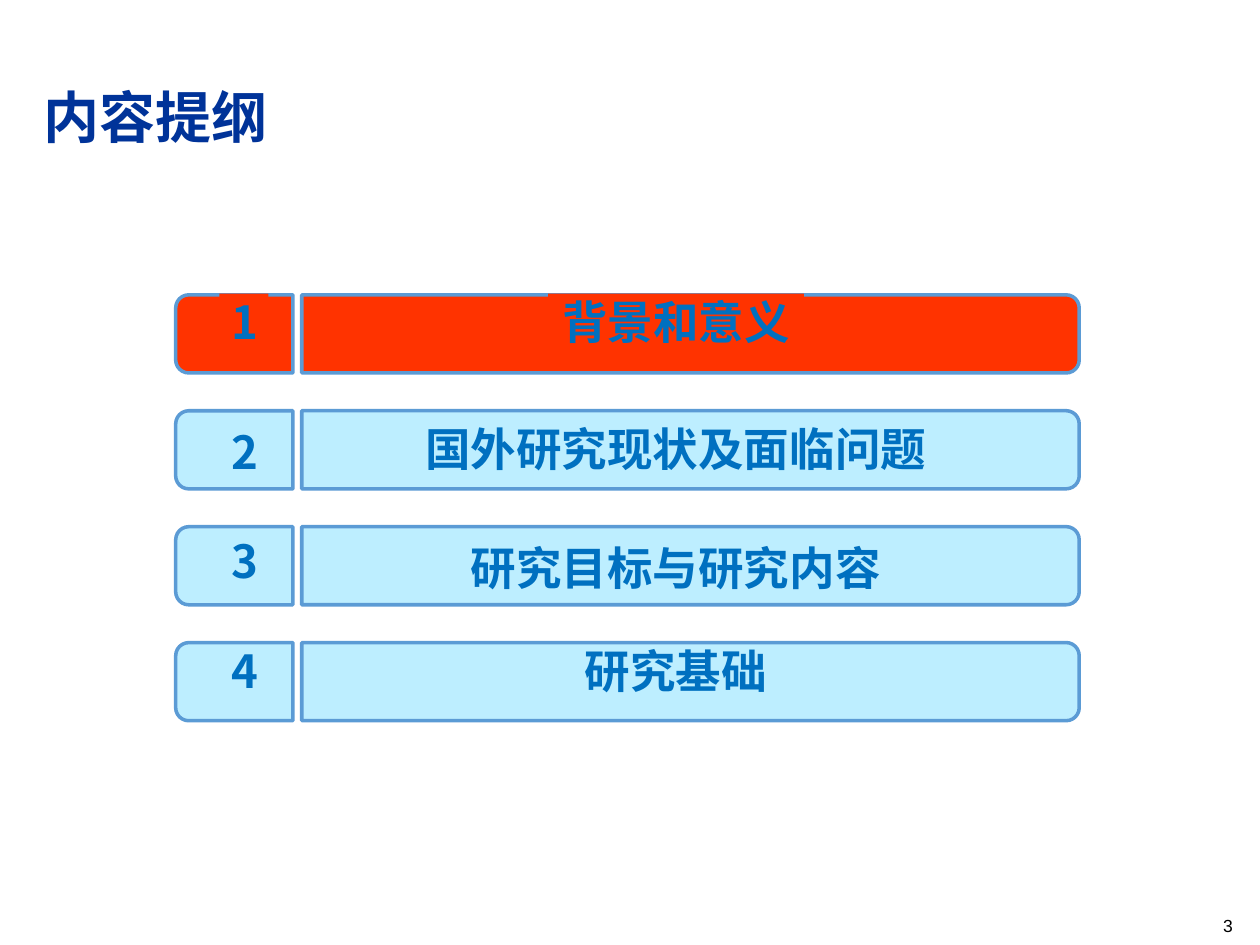
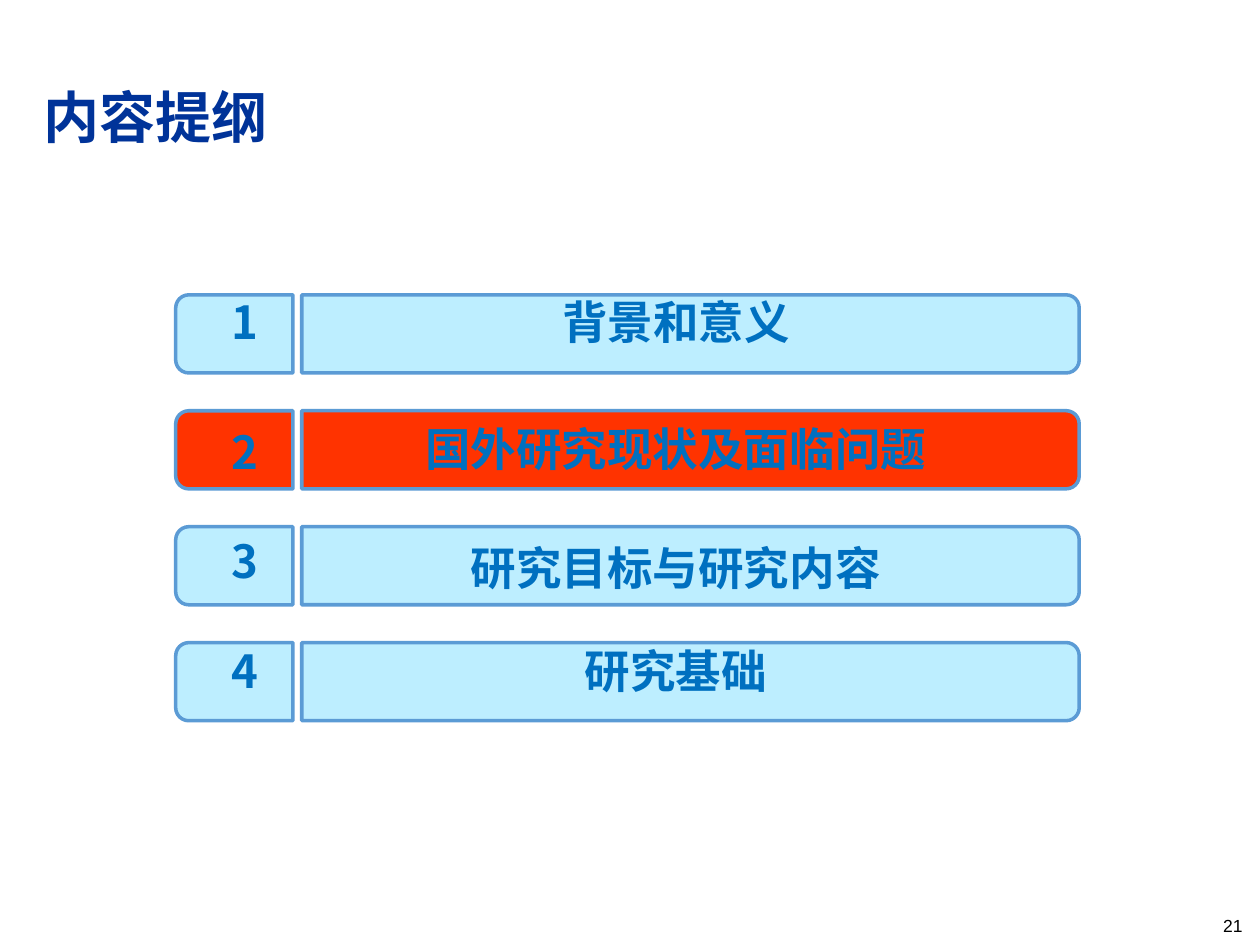
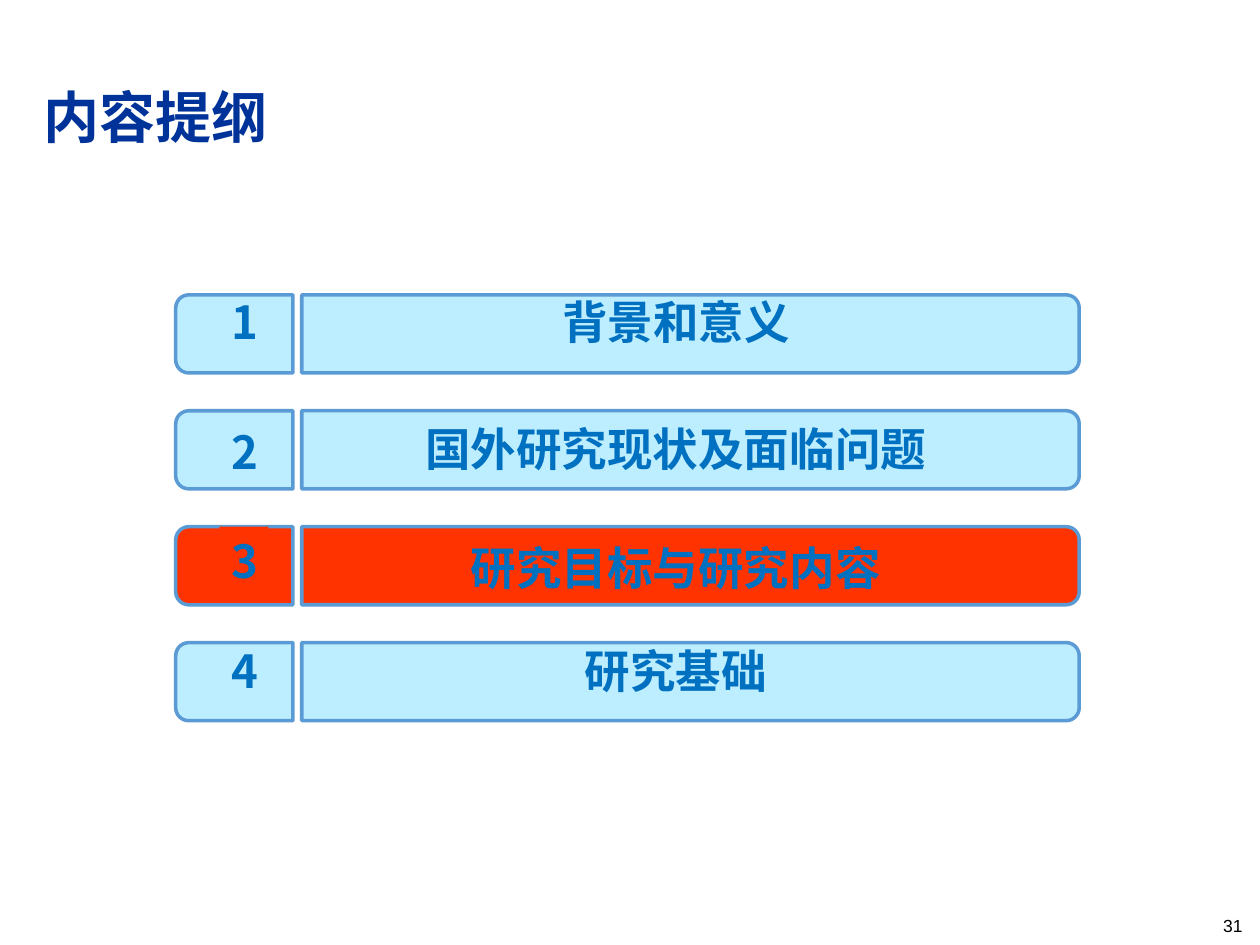
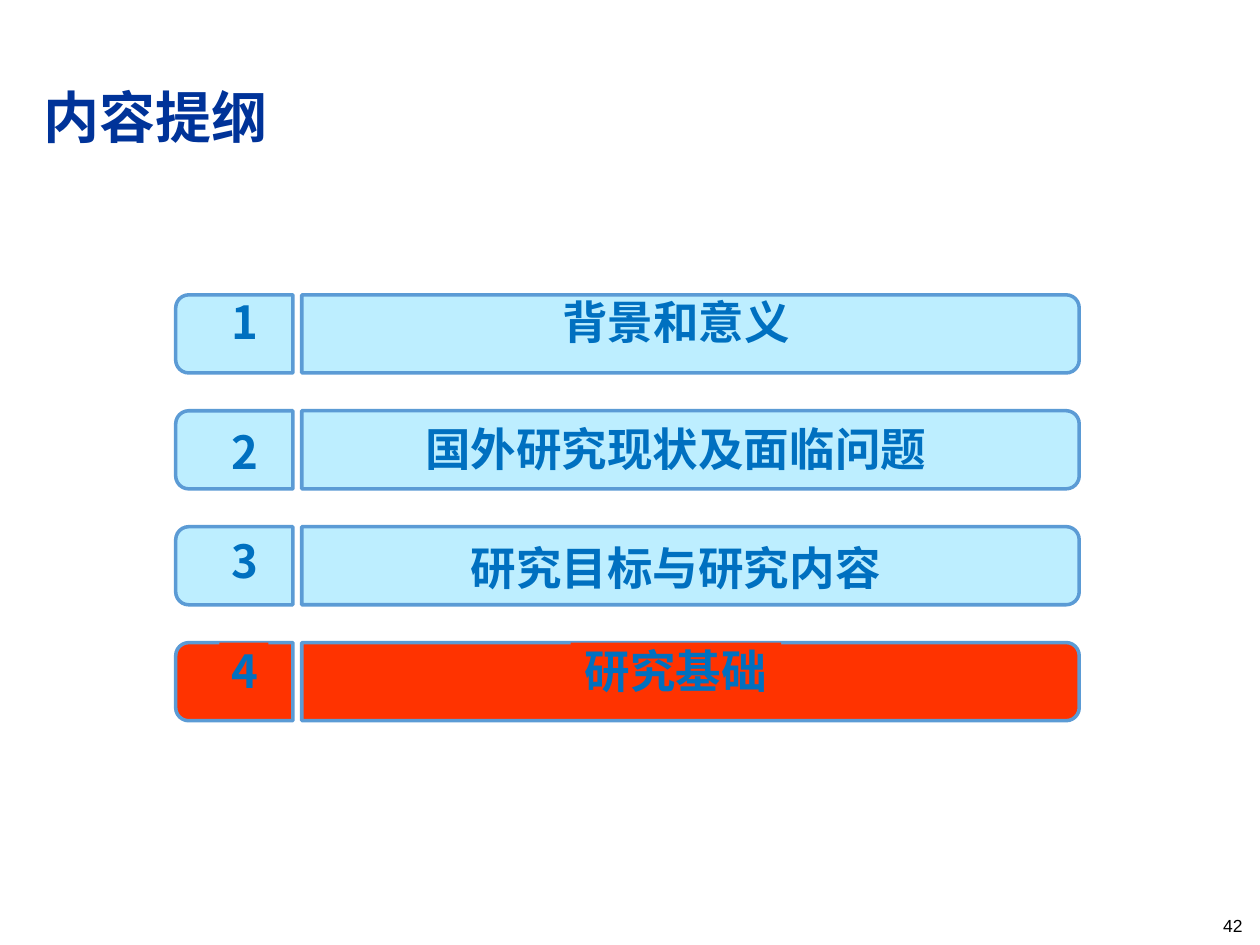
from dataclasses import dataclass

from lxml import etree
from pptx import Presentation
from pptx.dml.color import RGBColor
from pptx.enum.shapes import MSO_SHAPE
from pptx.enum.text import MSO_ANCHOR, MSO_AUTO_SIZE, PP_ALIGN
from pptx.oxml.ns import qn
from pptx.shapes.autoshape import Shape
from pptx.shapes.shapetree import GroupShapes, SlideShapes
from pptx.slide import Slide
from pptx.util import Inches, Pt

ROUNDED_END = MSO_SHAPE.ROUND_2_SAME_RECTANGLE
TOP, MIDDLE = MSO_ANCHOR.TOP, MSO_ANCHOR.MIDDLE
LEFT, CENTER = PP_ALIGN.LEFT, PP_ALIGN.CENTER
GROW, FIXED = MSO_AUTO_SIZE.SHAPE_TO_FIT_TEXT, MSO_AUTO_SIZE.NONE

SLIDE_WIDTH, SLIDE_HEIGHT = Inches(10), Inches(7.5)
COLUMN, ROW = SLIDE_WIDTH / 100, SLIDE_HEIGHT / 75

HEADING_FONT, NUMBER_FONT = "Noto Sans CJK SC", "Arial"
TITLE_COLOR, TEXT_COLOR, PAGE_COLOR = "003399", "0070C0", "000000"
ACTIVE_COLOR, IDLE_COLOR, OUTLINE_COLOR = "FF3300", "BDEEFF", "5B9BD5"

FIRST_BAND_TOP, BAND_PITCH, BAND_HEIGHT = 23.4, 9.2, 6.2
NUMBER_CENTER, LABEL_CENTER = 19.35, 53.65
NUMBER_WIDTH, TEXT_HEIGHT = 3.9, 5.4


@dataclass(frozen=True)
class Frame:
    left: float
    top: float
    width: float
    height: float

    def lengths(self) -> tuple[int, int, int, int]:
        return (round(self.left * COLUMN), round(self.top * ROW),
                round(self.width * COLUMN), round(self.height * ROW))

    def upright(self) -> "Frame":
        shift = (self.width - self.height) / 2
        return Frame(self.left + shift, self.top - shift, self.height, self.width)


@dataclass(frozen=True)
class TextStyle:
    size: float
    color: str
    font: str = HEADING_FONT
    bold: bool = True
    align: PP_ALIGN = LEFT


@dataclass(frozen=True)
class Section:
    name: str
    label_width: float
    label_offset: float
    number_offset: float
    fixed: bool = False


TITLE_STYLE = TextStyle(32, TITLE_COLOR)
BAND_STYLE = TextStyle(26, TEXT_COLOR, align=CENTER)
PAGE_STYLE = TextStyle(10, PAGE_COLOR, NUMBER_FONT, bold=False)

TITLE_FRAME = Frame(2.5, 3, 90, 12.5)
PAGE_FRAME = Frame(96.1, 72.1, 3.9, 4.3)

SECTIONS = (
    Section("背景和意义", 20.3, -0.1, -0.1),
    Section("国外研究现状及面临问题", 42.5, 0.3, 0.5, fixed=True),
    Section("研究目标与研究内容", 35, 0.5, 0, fixed=True),
    Section("研究基础", 16.7, 0, 0),
)
PAGE_NUMBERS = (3, 21, 31, 42)


def color(value: str) -> RGBColor:
    return RGBColor.from_string(value)


def add_text(shapes: SlideShapes | GroupShapes, frame: Frame, text: str,
             style: TextStyle, anchor: MSO_ANCHOR = TOP) -> Shape:
    shape = shapes.add_textbox(*frame.lengths())
    text_frame = shape.text_frame
    text_frame.word_wrap = True
    text_frame.vertical_anchor = anchor
    text_frame.text = text
    paragraph = text_frame.paragraphs[0]
    paragraph.alignment = style.align
    run = paragraph.runs[0]
    run.font.size = Pt(style.size)
    run.font.bold = style.bold
    run.font.color.rgb = color(style.color)
    run.font.name = style.font
    properties = run.font._element
    etree.SubElement(properties, qn("a:ea")).set("typeface", style.font)
    return shape


def add_band(shapes: GroupShapes, frame: Frame, fill: str, rounded_right: bool) -> None:
    shape = shapes.add_shape(ROUNDED_END, *frame.upright().lengths())
    shape.rotation = 270
    if rounded_right:
        shape._element.spPr.xfrm.set("flipV", "1")
    shape.shadow.inherit = False
    shape.fill.solid()
    shape.fill.fore_color.rgb = color(fill)
    shape.line.color.rgb = color(OUTLINE_COLOR)
    shape.line.width = Pt(2)


def add_section(slide: Slide, index: int, section: Section, active: bool) -> None:
    shapes = slide.shapes.add_group_shape().shapes
    top = FIRST_BAND_TOP + index * BAND_PITCH
    fill = ACTIVE_COLOR if active else IDLE_COLOR
    add_band(shapes, Frame(13.95, top, 9.3, BAND_HEIGHT), fill, rounded_right=False)
    add_band(shapes, Frame(23.95, top, 61.7, BAND_HEIGHT), fill, rounded_right=True)
    captions = (
        (section.name, LABEL_CENTER, section.label_width, section.label_offset),
        (str(index + 1), NUMBER_CENTER, NUMBER_WIDTH, section.number_offset),
    )
    for text, center, width, offset in captions:
        frame = Frame(center - width / 2, top + offset, width, TEXT_HEIGHT)
        caption = add_text(shapes, frame, text, BAND_STYLE, MIDDLE if section.fixed else TOP)
        text_frame = caption.text_frame
        text_frame.margin_top = text_frame.margin_bottom = 0
        text_frame.word_wrap = section.fixed
        text_frame.auto_size = FIXED if section.fixed else GROW
        if active:
            caption.fill.solid()
            caption.fill.fore_color.rgb = color(fill)


def add_outline_slide(presentation: Presentation, active_index: int, page: int) -> None:
    slide = presentation.slides.add_slide(presentation.slide_layouts[6])
    page_number = add_text(slide.shapes, PAGE_FRAME, str(page), PAGE_STYLE)
    page_number.text_frame.auto_size = GROW
    for index, section in enumerate(SECTIONS):
        add_section(slide, index, section, index == active_index)
    add_text(slide.shapes, TITLE_FRAME, "内容提纲", TITLE_STYLE, MIDDLE)


def main() -> None:
    presentation = Presentation()
    presentation.slide_width, presentation.slide_height = SLIDE_WIDTH, SLIDE_HEIGHT
    for active_index, page in enumerate(PAGE_NUMBERS):
        add_outline_slide(presentation, active_index, page)
    presentation.save("out.pptx")


if __name__ == "__main__":
    main()
